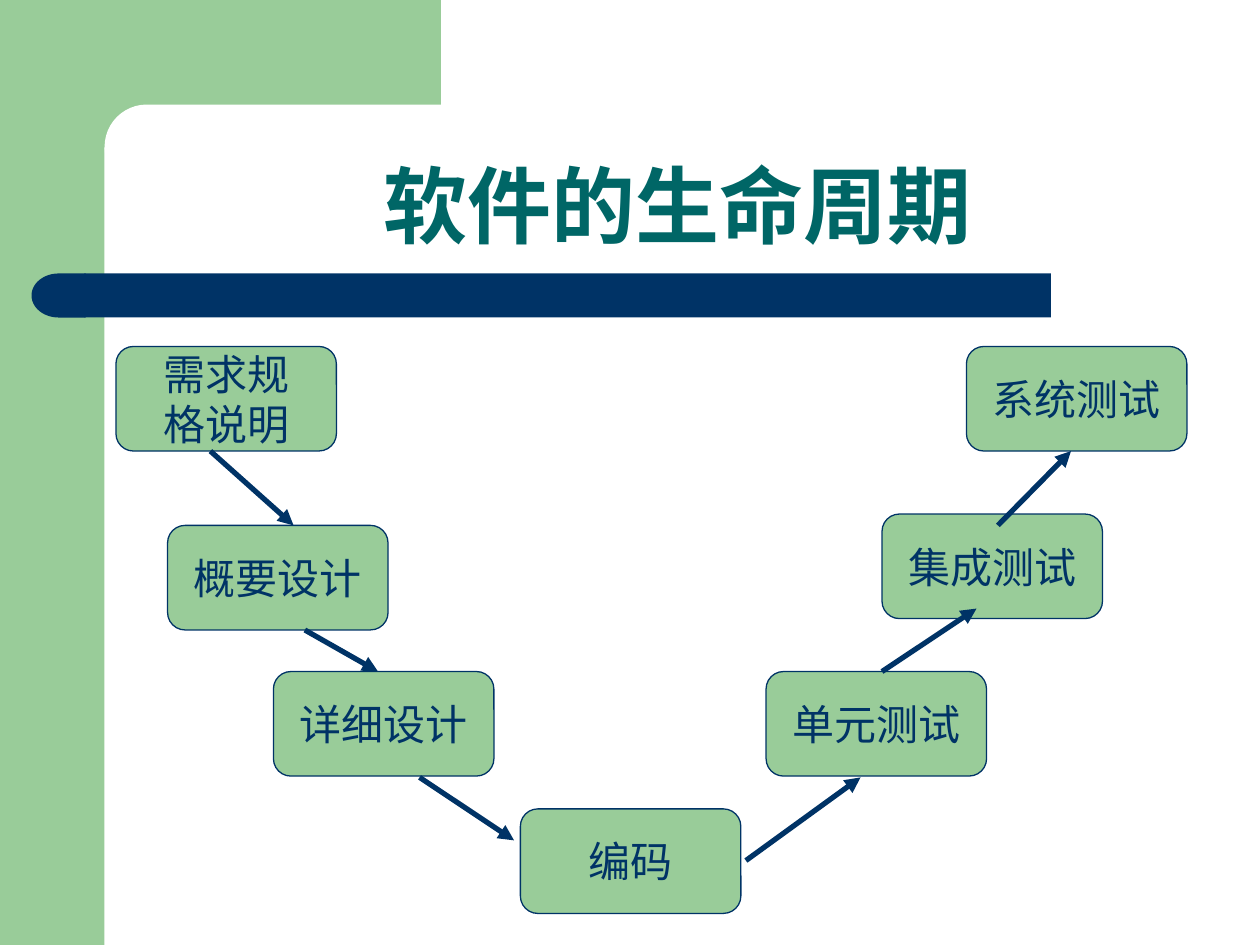
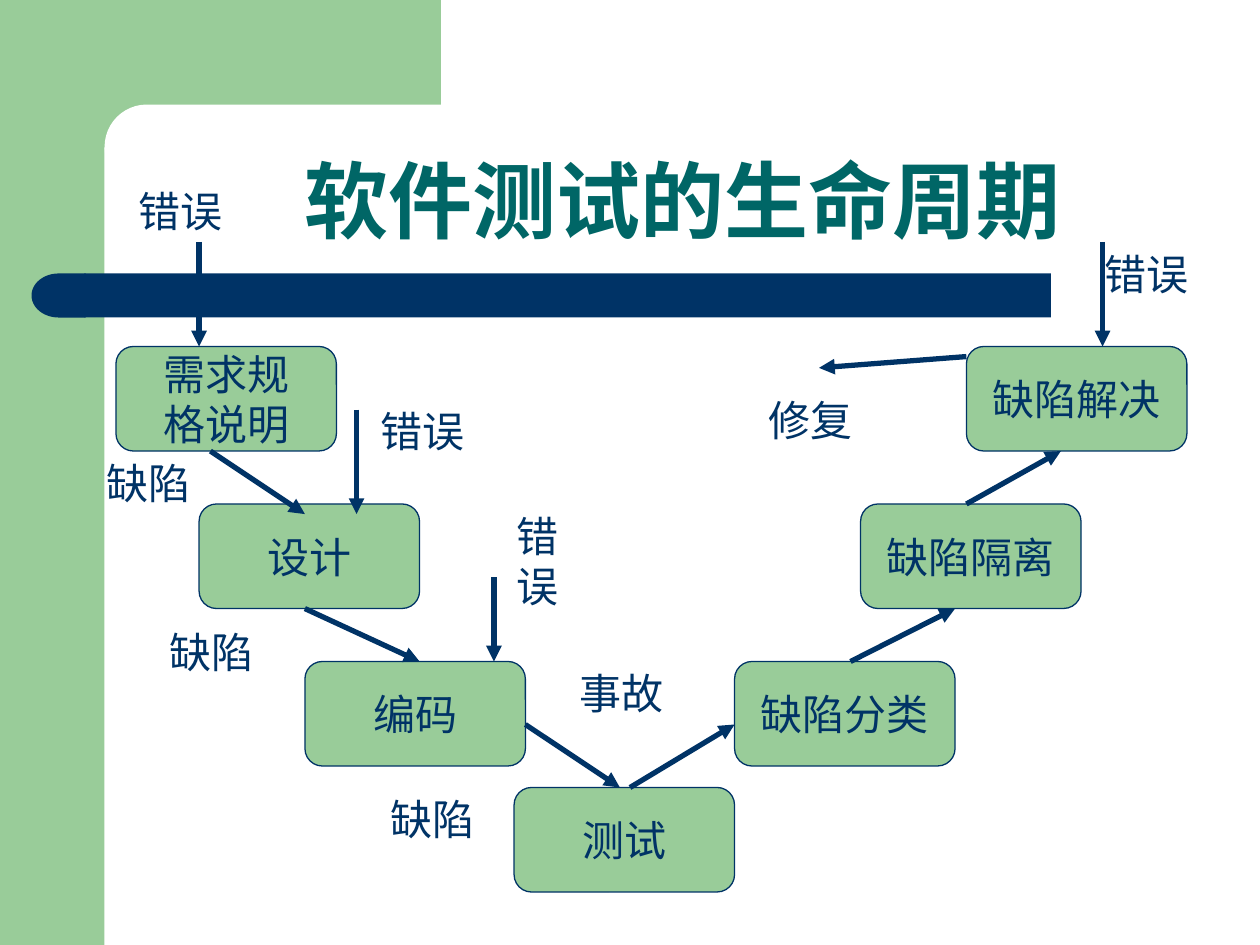
from pptx import Presentation
from pptx import util as u
from pptx.dml import color
from pptx.enum import shapes, text
from pptx.oxml import ns, xmlchemy

GREEN, NAVY, TEAL, WHITE = "99CC99", "003366", "006666", "FFFFFF"
KIND = shapes.MSO_SHAPE
BOX = (1.75, 0.83)
TAG = (0.92, 0.5)
SPEC = [(0.92, 2.75, "需求规", "格说明")]

CYCLE = {
    "title": ("软件的生命周期", (1, 0.83, 8.75, 1.25)),
    "boxes": SPEC + [
        (1.33, 4.17, "概要设计"), (2.17, 5.33, "详细设计"), (4.13, 6.42, "编码"),
        (6.08, 5.33, "单元测试"), (7, 4.08, "集成测试"), (7.67, 2.75, "系统测试"),
    ],
    "arrows": [
        (1.67, 3.58, 2.33, 4.17), (2.42, 5, 3, 5.33), (3.33, 6.17, 4.08, 6.67),
        (5.92, 6.83, 6.83, 6.17), (7, 5.33, 7.75, 4.83), (7.92, 4.17, 8.5, 3.58),
    ],
    "tags": [],
}
TESTS = {
    "title": ("软件测试的生命周期", (1.42, 1.25, 8, 0.79)),
    "boxes": SPEC + [
        (1.58, 4, "设计"), (2.42, 5.25, "编码"), (4.08, 6.25, "测试"),
        (5.83, 5.25, "缺陷分类"), (6.83, 4, "缺陷隔离"), (7.67, 2.75, "缺陷解决"),
    ],
    "arrows": [
        (1.67, 3.58, 2.42, 4.08), (2.42, 4.83, 3.33, 5.25), (4.17, 5.75, 4.92, 6.25),
        (5, 6.25, 5.83, 5.75), (6.75, 5.25, 7.58, 4.83), (7.67, 4, 8.42, 3.58),
        (1.58, 1.92, 1.58, 2.75), (2.83, 3.25, 2.83, 4.08), (3.92, 4.58, 3.92, 5.25),
        (8.75, 1.92, 8.75, 2.75), (7.67, 2.83, 6.5, 2.92),
    ],
    "tags": [
        ("错误", 1, 1.42, *TAG), ("错误", 2.92, 3.17, *TAG),
        ("错误", 4, 4, 0.67, 0.9), ("错误", 8.67, 1.92, *TAG),
        ("缺陷", 0.75, 3.58, *TAG), ("缺陷", 1.25, 4.92, *TAG),
        ("缺陷", 3, 6.25, *TAG), ("事故", 4.5, 5.25, *TAG), ("修复", 6, 3.08, *TAG),
    ],
}


def rgb(code):
    """Turn a hex string into a colour."""
    return color.RGBColor.from_string(code)


def inches(*sizes):
    """Turn numbers into lengths."""
    return [u.Inches(size) for size in sizes]


def write(par, words, size=24, font="Times New Roman", ink=NAVY, bold=False):
    """Add one formatted run to a paragraph."""
    run = par.add_run()
    run.text = words
    run.font.size = u.Pt(size)
    run.font.name = font
    run.font.bold = bold
    run.font.color.rgb = rgb(ink)


def add_block(slide, kind, place, fill, edge=None, curve=None):
    """Draw a flat filled shape, with an outline if an edge is given."""
    shape = slide.shapes.add_shape(kind, *inches(*place))
    shape.shadow.inherit = False
    shape.fill.solid()
    shape.fill.fore_color.rgb = rgb(fill)
    if edge:
        shape.line.color.rgb = rgb(edge)
        shape.line.width = u.Pt(0.75)
    else:
        shape.line.fill.background()
    if curve is not None:
        shape.adjustments[0] = curve
    return shape


def add_frame(slide, layout):
    """Draw the shared bands and move them to the layout."""
    parts = [
        add_block(slide, KIND.RECTANGLE, (0, 0, 0.83, 7.5), GREEN),
        add_block(slide, KIND.RECTANGLE, (0.75, 0, 2.75, 1.17), GREEN),
        add_block(slide, KIND.ROUNDED_RECTANGLE, (0.83, 0.83, 5.58, 0.67), WHITE, curve=0.5),
        add_block(slide, KIND.RECTANGLE, (0.67, 2.17, 7.67, 0.35), NAVY),
        add_block(slide, KIND.FLOWCHART_DELAY, (0.25, 2.17, 0.43, 0.35), NAVY),
    ]
    parts[-1].rotation = 180
    for spot, part in enumerate(parts):
        part.element.nvSpPr.cNvPr.id = 100 + spot
        layout.shapes.element.insert(2 + spot, part.element)


def set_title(slide, words, place):
    """Place and fill the title placeholder."""
    title = slide.shapes.title
    title.left, title.top, title.width, title.height = inches(*place)
    frame = title.text_frame
    frame.auto_size = text.MSO_AUTO_SIZE.NONE
    frame.vertical_anchor = text.MSO_ANCHOR.BOTTOM
    par = frame.paragraphs[0]
    par.alignment = text.PP_ALIGN.CENTER
    par.line_spacing = 0.9
    write(par, words, 48, "Arial", TEAL, True)


def add_box(slide, left, top, *lines):
    """Draw a stage box with one paragraph for each line."""
    box = add_block(slide, KIND.ROUNDED_RECTANGLE, (left, top, *BOX), GREEN, NAVY, 0.167)
    frame = box.text_frame
    frame.word_wrap = False
    frame.vertical_anchor = text.MSO_ANCHOR.MIDDLE
    for spot, line in enumerate(lines):
        par = frame.add_paragraph() if spot else frame.paragraphs[0]
        par.alignment = text.PP_ALIGN.CENTER
        write(par, line)


def add_tag(slide, words, *place):
    """Add a free label."""
    frame = slide.shapes.add_textbox(*inches(*place)).text_frame
    frame.word_wrap = True
    frame.auto_size = text.MSO_AUTO_SIZE.SHAPE_TO_FIT_TEXT
    par = frame.paragraphs[0]
    par.space_before = u.Pt(15)
    write(par, words)


def add_arrow(slide, *ends):
    """Draw an arrow between two points."""
    arrow = slide.shapes.add_connector(shapes.MSO_CONNECTOR.STRAIGHT, *inches(*ends))
    arrow.line.color.rgb = rgb(NAVY)
    arrow.line.width = u.Pt(3)
    tip = xmlchemy.OxmlElement("a:tailEnd")
    tip.set("type", "triangle")
    props = arrow.element.spPr
    props.find(ns.qn("a:ln")).append(tip)
    props.append(xmlchemy.OxmlElement("a:effectLst"))


def fill_slide(slide, plan):
    """Put a title, boxes, labels and arrows on a slide."""
    set_title(slide, *plan["title"])
    for key, draw in (("boxes", add_box), ("tags", add_tag), ("arrows", add_arrow)):
        for item in plan[key]:
            draw(slide, *item)


def main():
    """Build and save both slides."""
    deck = Presentation()
    deck.slide_width, deck.slide_height = inches(10, 7.5)
    layout = deck.slide_layouts.get_by_name("Title Only")
    first, second = [deck.slides.add_slide(layout) for _ in range(2)]
    add_frame(first, layout)
    fill_slide(first, CYCLE)
    fill_slide(second, TESTS)
    deck.save("out.pptx")


if __name__ == "__main__":
    main()
